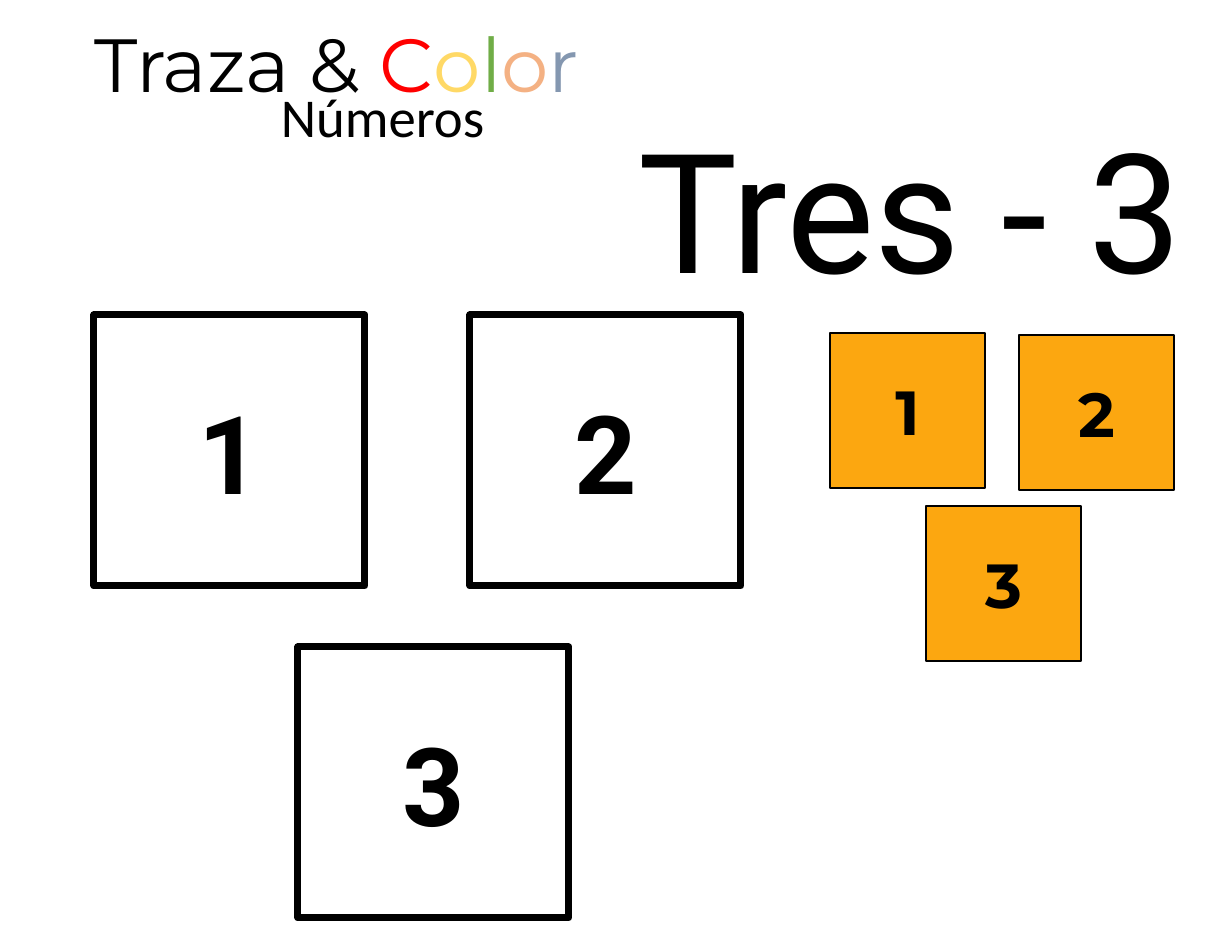
from pptx import Presentation
from pptx.dml.color import RGBColor
from pptx.enum.shapes import MSO_SHAPE
from pptx.enum.text import MSO_ANCHOR, MSO_AUTO_SIZE, PP_ALIGN
from pptx.util import Pt

EMU_PER_PX = 914400 / 112
RECTANGLE = MSO_SHAPE.RECTANGLE
TOP, MIDDLE = MSO_ANCHOR.TOP, MSO_ANCHOR.MIDDLE
LEFT, CENTER = PP_ALIGN.LEFT, PP_ALIGN.CENTER
NO_AUTOFIT = MSO_AUTO_SIZE.NONE
TITLE_ONLY = 5

COLORS = {
    "black": "000000", "white": "FFFFFF", "orange": "FCA710",
    "red": "FF0000", "yellow": "FFD966", "green": "70AD47",
    "peach": "F4B183", "slate": "8497B0",
}


def px(length):
    return round(length * EMU_PER_PX)


def rgb(name):
    return RGBColor.from_string(COLORS[name])


class Worksheet:
    def __init__(self, presentation):
        self.slide = presentation.slides.add_slide(presentation.slide_layouts[TITLE_ONLY])

    def set_text(self, shape, runs, font_name, size, alignment=LEFT, anchor=TOP, bold=False):
        """Fill a shape with one paragraph of (text, colour name) runs."""
        frame = shape.text_frame
        frame.word_wrap = True
        frame.auto_size = NO_AUTOFIT
        frame.vertical_anchor = anchor
        paragraph = frame.paragraphs[0]
        paragraph.alignment = alignment
        font = paragraph.font
        font.name, font.size, font.bold = font_name, Pt(size), bold
        for text, color in runs:
            run = paragraph.add_run()
            run.text = text
            run.font.color.rgb = rgb(color)

    def title(self, left, top, width, height, text, font_name, size):
        shape = self.slide.shapes.title
        shape.left, shape.top = px(left), px(top)
        shape.width, shape.height = px(width), px(height)
        self.set_text(shape, [(text, "black")], font_name, size)

    def text(self, left, top, width, height, runs, font_name, size, alignment=LEFT):
        shape = self.slide.shapes.add_textbox(px(left), px(top), px(width), px(height))
        self.set_text(shape, runs, font_name, size, alignment)

    def number_square(self, left, top, side, number, fill, line_width, font_name, size):
        shape = self.slide.shapes.add_shape(RECTANGLE, px(left), px(top), px(side), px(side))
        shape.shadow.inherit = False
        shape.fill.solid()
        shape.fill.fore_color.rgb = rgb(fill)
        shape.line.color.rgb = rgb("black")
        shape.line.width = Pt(line_width)
        self.set_text(shape, [(str(number), "black")], font_name, size, CENTER, MIDDLE, True)


def main():
    presentation = Presentation()
    presentation.slide_width, presentation.slide_height = px(1232), px(952)
    sheet = Worksheet(presentation)

    sheet.title(627, 101, 600, 213, "Tres - 3", "Roboto", 107)

    tracing_squares = [(94, 315), (470, 315), (298, 647)]
    for number, (left, top) in enumerate(tracing_squares, 1):
        sheet.number_square(left, top, 271, number, "white", 4.5, "Roboto", 70)

    cutout_squares = [(830, 333), (1019, 335), (926, 506)]
    for number, (left, top) in enumerate(cutout_squares, 1):
        sheet.number_square(left, top, 155, number, "orange", 1, "Montserrat", 40)

    sheet.text(96, 77, 573, 77, [("Números", "black")], "Calibri", 35.2, CENTER)
    rainbow = zip("Color", ["red", "yellow", "green", "peach", "slate"])
    sheet.text(83, 12, 600, 103, [("Traza & ", "black"), *rainbow], "Montserrat", 48.4)

    presentation.save("out.pptx")


if __name__ == "__main__":
    main()
